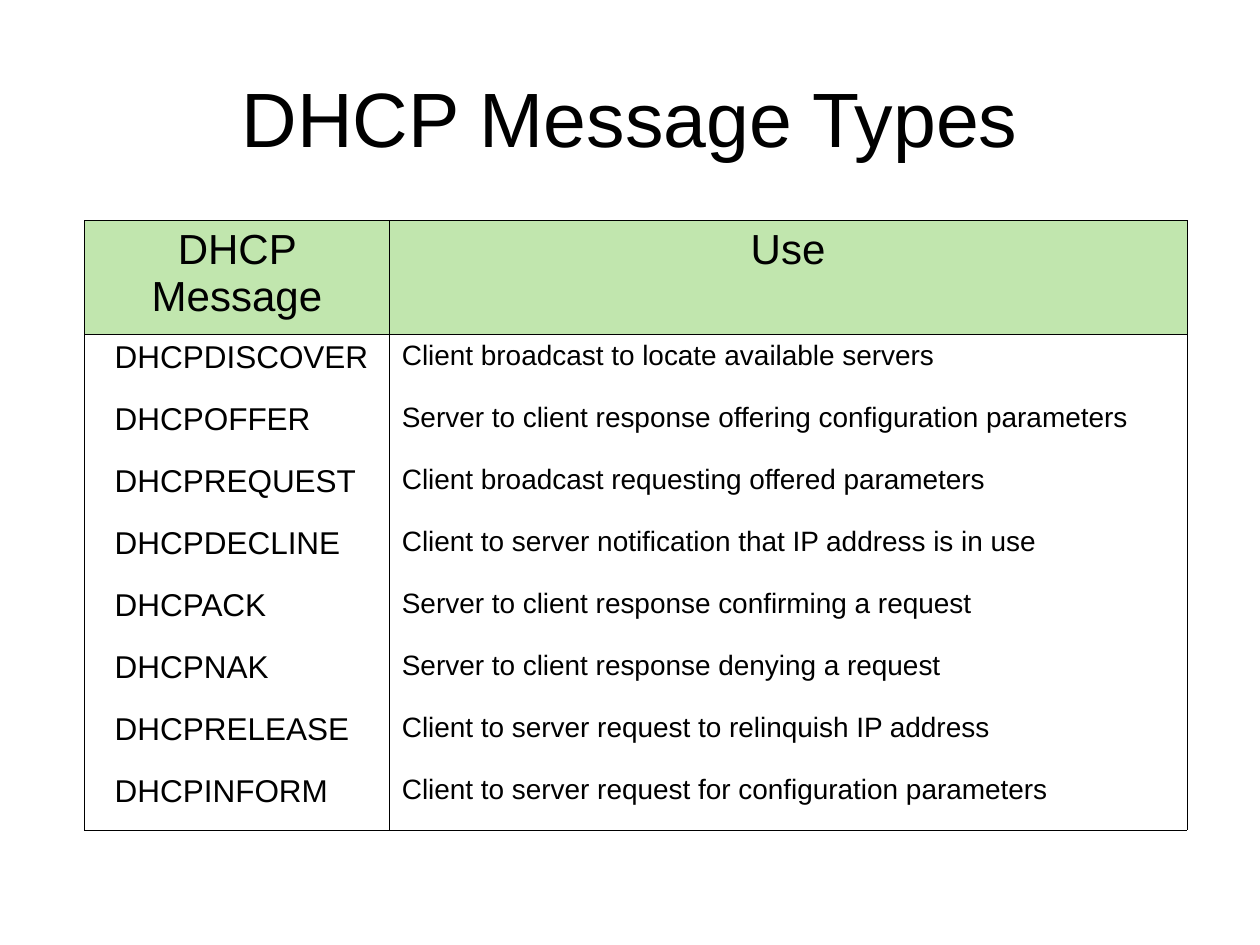
from dataclasses import dataclass

from lxml import etree
from pptx import Presentation
from pptx import util as u
from pptx.dml import color
from pptx.enum import text
from pptx.oxml import ns


@dataclass(frozen=True)
class Theme:
    font: str = "Arial"
    ink: str = "000000"
    header_fill: str = "C1E6AE"
    title_size: float = 44
    header_size: float = 24
    message_size: float = 18
    use_size: float = 16
    border_width: float = 0.45


theme = Theme()


def write_paragraph(frame, wording, size, alignment, space_before=0):
    paragraph = frame.paragraphs[0]
    paragraph.alignment = alignment
    paragraph.space_before = u.Pt(space_before)
    run = paragraph.add_run()
    run.text = wording
    font_format = {"name": theme.font, "size": u.Pt(size), "bold": False}
    for name, value in font_format.items():
        setattr(run.font, name, value)
    run.font.color.rgb = color.RGBColor.from_string(theme.ink)


def draw_borders(cell, visible_sides):
    properties = cell._tc.get_or_add_tcPr()
    for side in "LRTB":
        line = etree.SubElement(properties, ns.qn(f"a:ln{side}"), w=str(int(u.Pt(theme.border_width))))
        if side in visible_sides:
            fill = etree.SubElement(line, ns.qn("a:solidFill"))
            etree.SubElement(fill, ns.qn("a:srgbClr"), val=theme.ink)
        else:
            etree.SubElement(line, ns.qn("a:noFill"))


rows = [
    ("DHCP Message", "Use"),
    ("DHCPDISCOVER", "Client broadcast to locate available servers"),
    ("DHCPOFFER", "Server to client response offering configuration parameters"),
    ("DHCPREQUEST", "Client broadcast requesting offered parameters"),
    ("DHCPDECLINE", "Client to server notification that IP address is in use"),
    ("DHCPACK", "Server to client response confirming a request"),
    ("DHCPNAK", "Server to client response denying a request"),
    ("DHCPRELEASE", "Client to server request to relinquish IP address"),
    ("DHCPINFORM", "Client to server request for configuration parameters"),
]
column_widths = [2.42, 6.33]
table_height = 4.84
header_height = 0.9
body_height = (table_height - header_height) / (len(rows) - 1)
body_sizes = [theme.message_size, theme.use_size]
left_margins = [0.24, 0.1]

presentation = Presentation()
presentation.slide_width = u.Inches(10)
presentation.slide_height = u.Inches(7.5)
slide = presentation.slides.add_slide(presentation.slide_layouts[6])

title = slide.shapes.add_textbox(u.Inches(0.5), u.Inches(0.3), u.Inches(9), u.Inches(1.25))
title_format = {"word_wrap": True, "vertical_anchor": text.MSO_ANCHOR.MIDDLE}
for name, value in title_format.items():
    setattr(title.text_frame, name, value)
write_paragraph(title.text_frame, "DHCP Message Types", theme.title_size, text.PP_ALIGN.CENTER)

table = slide.shapes.add_table(
    len(rows), len(column_widths), u.Inches(0.67), u.Inches(1.75),
    u.Inches(sum(column_widths)), u.Inches(table_height),
).table
for name, value in {"first_row": False, "horz_banding": False}.items():
    setattr(table, name, value)
for column, width in zip(table.columns, column_widths):
    column.width = u.Inches(width)

for row_index, wordings in enumerate(rows):
    is_header = row_index == 0
    table.rows[row_index].height = u.Inches(header_height if is_header else body_height)
    visible_sides = "LR"
    if row_index <= 1:
        visible_sides += "T"
    if is_header or row_index == len(rows) - 1:
        visible_sides += "B"
    for column_index, wording in enumerate(wordings):
        cell = table.cell(row_index, column_index)
        draw_borders(cell, visible_sides)
        if is_header:
            cell.fill.solid()
            cell.fill.fore_color.rgb = color.RGBColor.from_string(theme.header_fill)
            write_paragraph(cell.text_frame, wording, theme.header_size, text.PP_ALIGN.CENTER, 6)
        else:
            cell.fill.background()
            cell.margin_left = u.Inches(left_margins[column_index])
            size = body_sizes[column_index]
            write_paragraph(cell.text_frame, wording, size, text.PP_ALIGN.LEFT, size / 4)

presentation.save("out.pptx")
